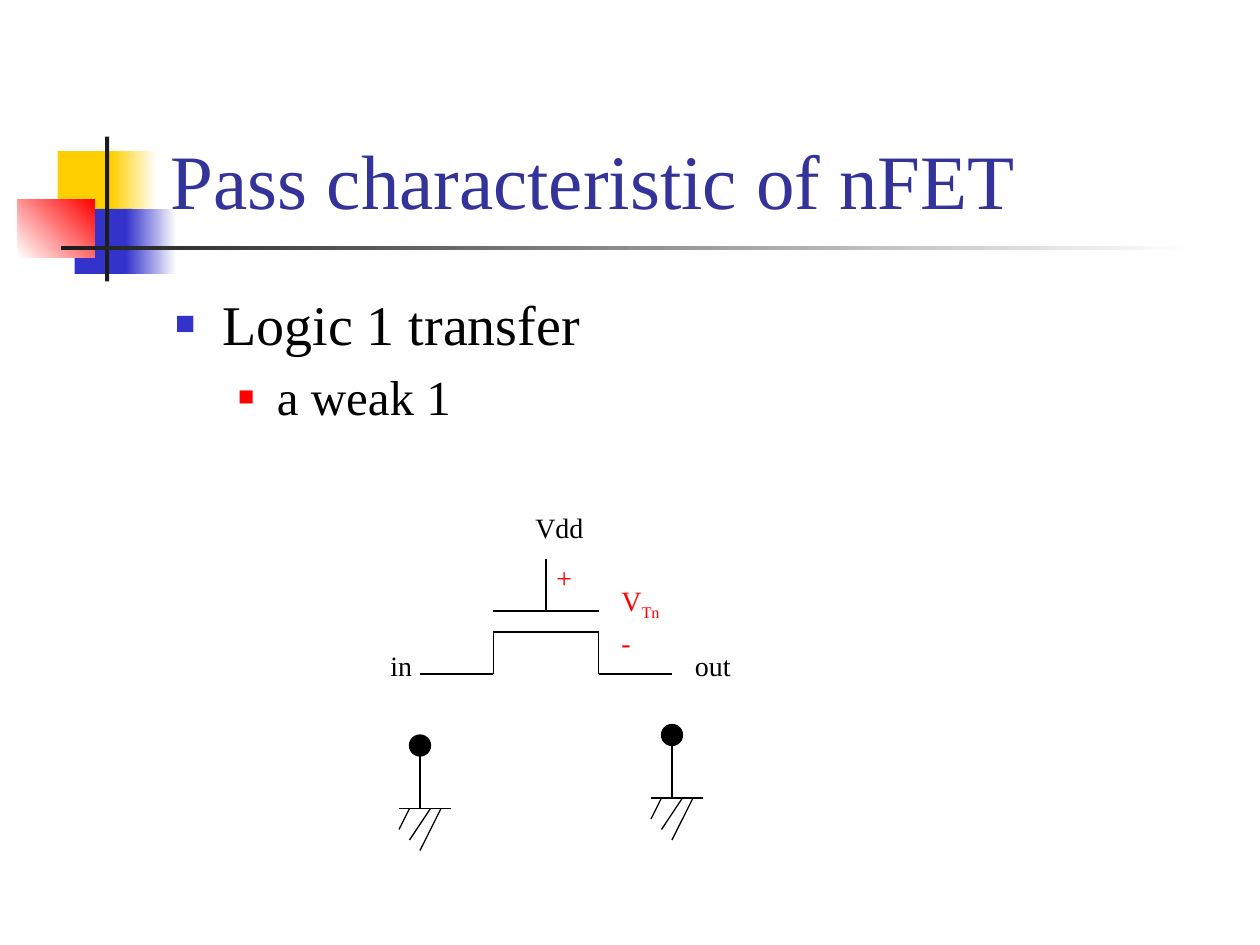
from lxml import etree
from pptx import Presentation
from pptx.dml.color import RGBColor
from pptx.enum.shapes import MSO_CONNECTOR, MSO_SHAPE
from pptx.enum.text import MSO_ANCHOR, MSO_AUTO_SIZE
from pptx.oxml.ns import qn
from pptx.util import Pt

RECT, OVAL = MSO_SHAPE.RECTANGLE, MSO_SHAPE.OVAL
LINE = MSO_CONNECTOR.STRAIGHT
BOTTOM, TOP = MSO_ANCHOR.BOTTOM, MSO_ANCHOR.TOP
FIT = MSO_AUTO_SIZE.SHAPE_TO_FIT_TEXT
FONT = "Times New Roman"
PX = 7620

HEX = {"gold": "FFCF01", "blue": "3333CC", "red": "FF0000", "dark": "1C1C1C",
       "navy": "333399", "black": "000000", "white": "FFFFFF"}

DECOR = [
    ((55, 144, 58, 62), ("gold",), 0),
    ((106, 144, 43, 62), ("gold", "white"), 0),
    ((71, 199, 55, 62), ("blue",), 0),
    ((120, 199, 48, 62), ("blue", "white"), 0),
    ((17, 190, 73, 55), ("white", "red"), 45),
    ((100, 130, 4, 138), ("dark",), 0),
    ((58, 234, 1080, 4), ("dark", "white"), 0),
]
TITLE = "Pass characteristic of nFET"
BODY = [
    ("Logic 1 transfer", 32, 0, 45, 45, "blue", 60),
    ("a weak 1", 28, 5.6, 97, 37, "red", 55),
]
GATE = [
    (470, 582, 570, 582), (470, 602, 570, 602), (470, 602, 470, 642),
    (570, 602, 570, 642), (470, 642, 400, 642), (640, 642, 570, 642),
    (520, 582, 520, 532),
]
GROUND = [(0, 0, 0, 60), (-20, 60, 30, 60), (-10, 60, -20, 80),
          (10, 60, -10, 90), (20, 60, 0, 100)]
NODES = [(400, 710), (640, 700)]
RADIUS = 10
LABELS = [
    ("Vdd", "", (498, 480, 70, 44), "black"),
    ("in", "", (360, 612, 46, 44), "black"),
    ("out", "", (650, 612, 59, 44), "black"),
    ("+", "", (518, 528, 40, 44), "red"),
    ("-", "", (580, 590, 34, 44), "red"),
    ("V", "Tn", (580, 550, 64, 44), "red"),
]

deck = Presentation()
deck.slide_width, deck.slide_height = 1200 * PX, 900 * PX
slide = deck.slides.add_slide(deck.slide_layouts[6])
shapes = slide.shapes


def rgb(name):
    return RGBColor.from_string(HEX[name])


def scale(box):
    return [n * PX for n in box]


def block(kind, box, tones, angle=0):
    shape = shapes.add_shape(kind, *scale(box))
    shape.shadow.inherit = False
    shape.line.fill.background()
    if len(tones) == 1:
        shape.fill.solid()
        shape.fill.fore_color.rgb = rgb(tones[0])
    else:
        shape.fill.gradient()
        shape.fill.gradient_angle = angle
        for stop, tone, place in zip(shape.fill.gradient_stops, tones, (0, 1)):
            stop.color.rgb = rgb(tone)
            stop.position = place
    return shape


def wire(ends):
    line = shapes.add_connector(LINE, *scale(ends))
    line.line.color.rgb = rgb("black")
    line.line.width = Pt(0.75)
    etree.SubElement(line._element.spPr, qn("a:effectLst"))


def textbox(box, anchor=TOP, wrap=True):
    frame = shapes.add_textbox(*scale(box)).text_frame
    frame.word_wrap = wrap
    frame.vertical_anchor = anchor
    return frame


def style(run, size, tone):
    run.font.name, run.font.size = FONT, Pt(size)
    run.font.color.rgb = rgb(tone)


def bullet(para, left, hang, tone, size):
    props = para._p.get_or_add_pPr()
    props.set("marL", str(left * PX))
    props.set("indent", str(-hang * PX))
    color = etree.SubElement(props, qn("a:buClr"))
    etree.SubElement(color, qn("a:srgbClr"), val=HEX[tone])
    etree.SubElement(props, qn("a:buSzPct"), val=str(size * 1000))
    etree.SubElement(props, qn("a:buFont"), typeface="Arial")
    etree.SubElement(props, qn("a:buChar"), char="■")


for box, tones, angle in DECOR:
    block(RECT, box, tones, angle)

frame = textbox((151, 28, 1022, 192), BOTTOM)
frame.text = TITLE
style(frame.paragraphs[0].runs[0], 44, "navy")

frame = textbox((155, 270, 1020, 166))
frame.text = "\n".join(row[0] for row in BODY)
for level, (para, row) in enumerate(zip(frame.paragraphs, BODY)):
    words, size, gap, left, hang, tone, share = row
    para.level = level
    para.space_before = Pt(gap)
    bullet(para, left, hang, tone, share)
    style(para.runs[0], size, "black")

for ends in GATE:
    wire(ends)

for x, y in NODES:
    dot = block(OVAL, (x - RADIUS, y - RADIUS, 2 * RADIUS, 2 * RADIUS), ("black",))
    dot.line.color.rgb = rgb("black")
    dot.line.width = Pt(0.75)
    for a, b, c, d in GROUND:
        wire((x + a, y + b, x + c, y + d))

for words, sub, box, tone in LABELS:
    frame = textbox(box, wrap=False)
    frame.auto_size = FIT
    para = frame.paragraphs[0]
    para.text = words
    if sub:
        run = para.add_run()
        run.text = sub
        run.font._element.set("baseline", "-25000")
    for run in para.runs:
        style(run, 16, tone)

deck.save("out.pptx")
